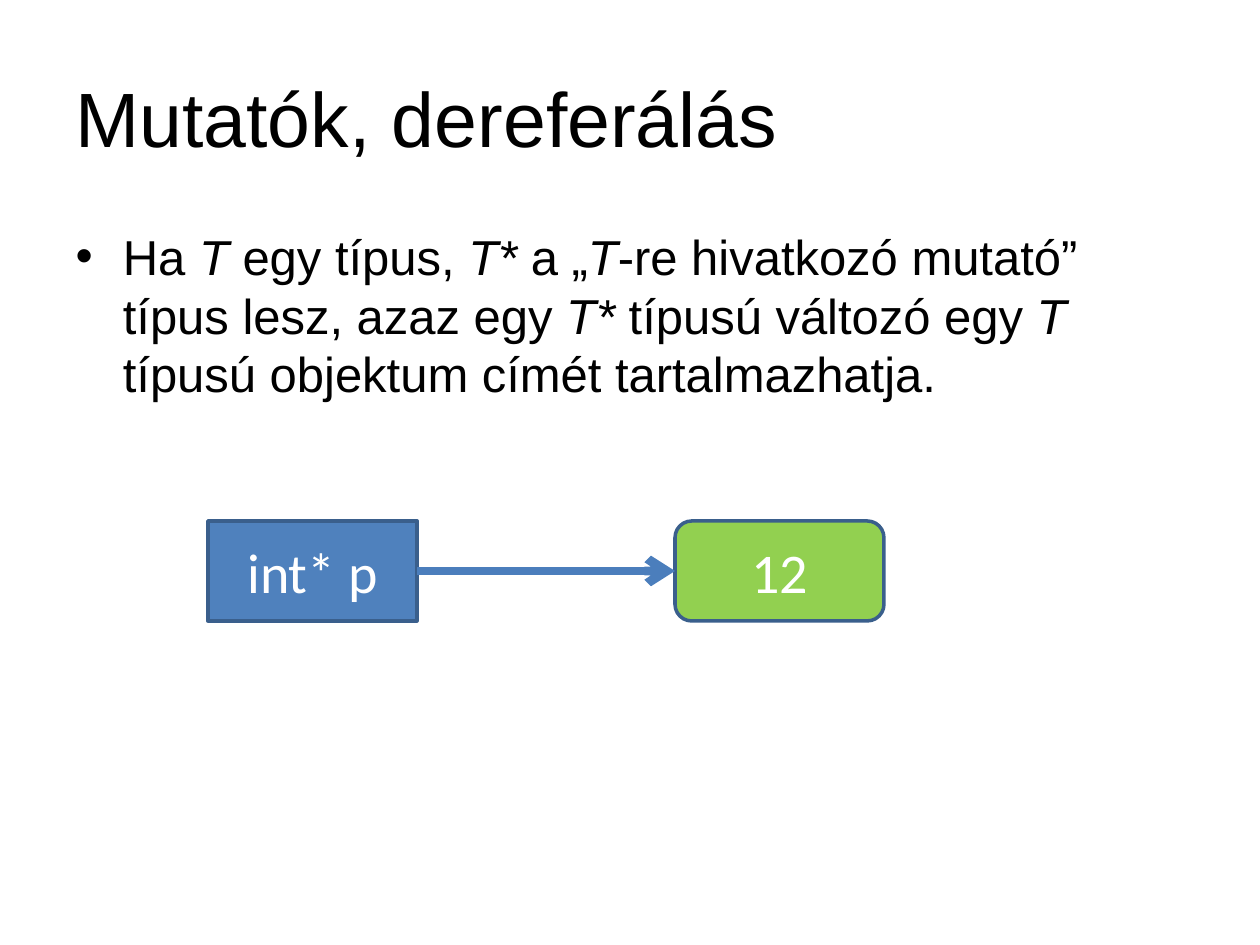
"""Build a slide on pointers and dereferencing."""
import pptx
import pptx.dml.color
import pptx.enum.shapes
import pptx.enum.text
import pptx.oxml
import pptx.oxml.ns
import pptx.util

SCALE = 914400 / 126


def px(*nums):
    return [pptx.util.Emu(round(n * SCALE)) for n in nums]


def paint(text):
    return pptx.dml.color.RGBColor.from_string(text)


deck = pptx.Presentation()
deck.slide_width, deck.slide_height = px(1260, 945)
slide = deck.slides.add_slide(deck.slide_layouts[1])
shapes = slide.shapes

title, body = shapes.title, slide.placeholders[1]
title.left, title.top, title.width, title.height = px(63, 38, 1134, 157)
body.left, body.top, body.width, body.height = px(63, 220, 1134, 624)
title.text_frame.vertical_anchor = pptx.enum.text.MSO_ANCHOR.MIDDLE

parts = [
    ("Ha ", False), ("T ", True), ("egy típus, ", False), ("T* ", True),
    ("a „", False), ("T", True),
    ("-re hivatkozó mutató” típus lesz, azaz egy ", False), ("T* ", True),
    ("típusú változó egy ", False), ("T ", True),
    ("típusú objektum címét tartalmazhatja.", False),
]
for holder, size, runs in [
    (title, 44, [("Mutatók, dereferálás", False)]),
    (body, 28, parts),
]:
    para = holder.text_frame.paragraphs[0]
    para.alignment = pptx.enum.text.PP_ALIGN.LEFT
    for text, slant in runs:
        run = para.add_run()
        run.text = text
        run.font.name = "Arial"
        run.font.size = pptx.util.Pt(size)
        run.font.italic = slant
        run.font.color.rgb = paint("000000")

kinds = pptx.enum.shapes.MSO_SHAPE
boxes = []
for kind, left, fill, text in [
    (kinds.RECTANGLE, 208, "4F81BD", "int* p"),
    (kinds.ROUNDED_RECTANGLE, 675, "92D050", "12"),
]:
    box = shapes.add_shape(kind, *px(left, 521, 209, 100))
    box.shadow.inherit = False
    box.fill.solid()
    box.fill.fore_color.rgb = paint(fill)
    box.line.color.rgb = paint("3A5F8C")
    box.line.width = pptx.util.Pt(2)
    box.text_frame.vertical_anchor = pptx.enum.text.MSO_ANCHOR.MIDDLE
    para = box.text_frame.paragraphs[0]
    para.alignment = pptx.enum.text.PP_ALIGN.CENTER
    run = para.add_run()
    run.text = text
    run.font.name = "Calibri"
    run.font.size = pptx.util.Pt(32)
    run.font.color.rgb = paint("FFFFFF")
    boxes.append(box)

arrow = shapes.add_connector(
    pptx.enum.shapes.MSO_CONNECTOR.STRAIGHT, *px(417, 571, 675, 571))
arrow.begin_connect(boxes[0], 3)
arrow.end_connect(boxes[1], 1)
arrow.line.color.rgb = paint("4B7EBC")
arrow.line.width = pptx.util.Pt(5)
space = pptx.oxml.ns.nsdecls("a")
arrow.line._get_or_add_ln().append(
    pptx.oxml.parse_xml(f'<a:tailEnd {space} type="arrow"/>'))
arrow._element.spPr.append(pptx.oxml.parse_xml(f"<a:effectLst {space}/>"))

deck.save("out.pptx")
